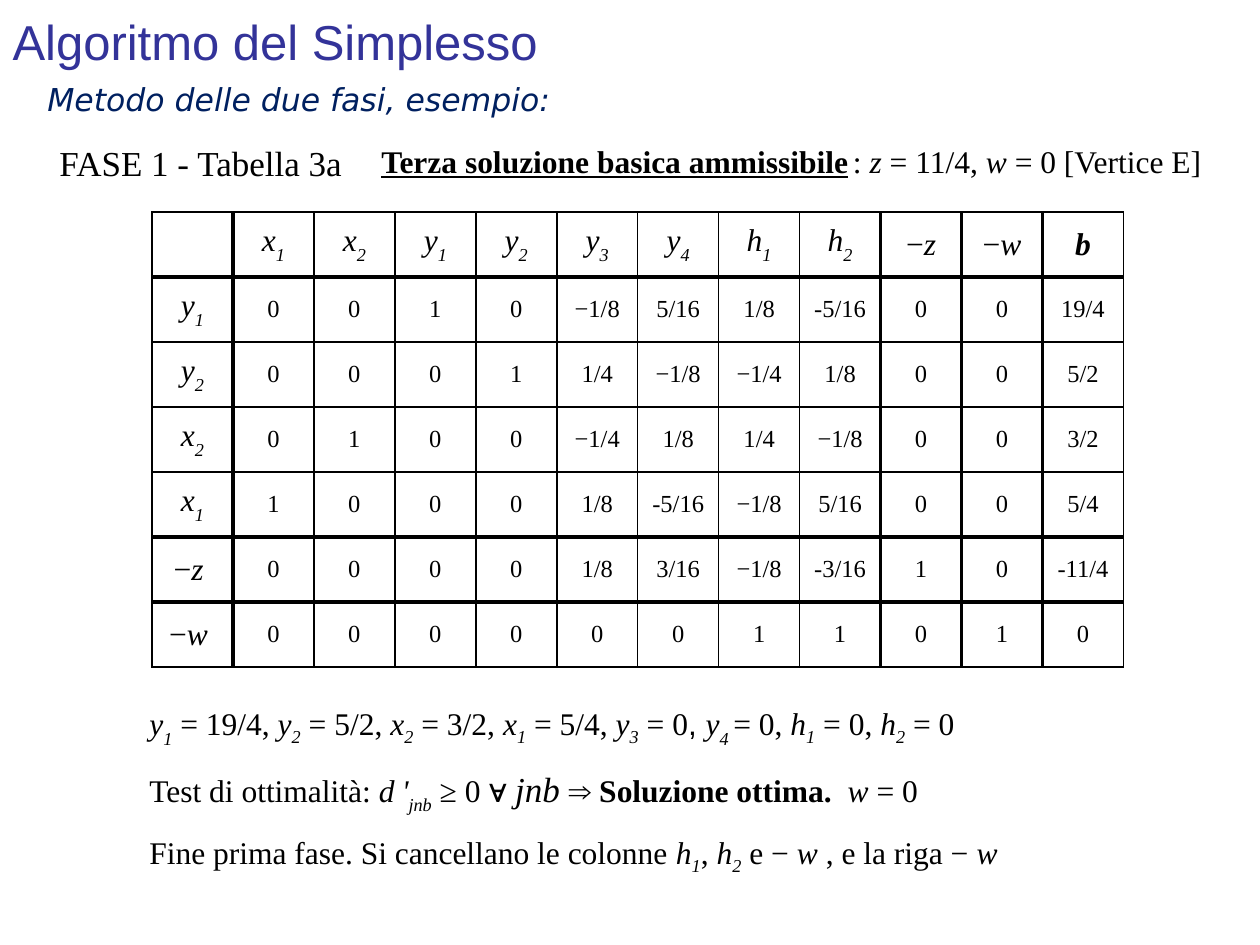
from dataclasses import dataclass

from lxml import etree
from pptx import Presentation
from pptx import util as u
from pptx.dml.color import RGBColor
from pptx.enum import text
from pptx.oxml import ns


@dataclass(frozen=True)
class Theme:
    title_color: str = "333399"
    subtitle_color: str = "002060"
    ink: str = "000000"
    title_font: str = "Arial"
    subtitle_font: str = "DejaVu Sans"
    body_font: str = "Times New Roman"
    title_size: int = 28
    large_size: int = 20
    body_size: int = 18
    small_size: int = 16
    number_size: int = 14
    thin: float = 1
    thick: float = 2.25


@dataclass(frozen=True)
class Run:
    text: str
    italic: bool = False
    bold: bool = False
    underline: bool = False
    baseline: int = 0
    size: int = 0
    font: str = ""


def italic(words, **style):
    return Run(words, italic=True, **style)


def variable(name, index, drop=-25):
    """An italic letter with its subscript."""
    return [italic(name), italic(index, baseline=drop)]


def px(length):
    return u.Emu(round(length * 914400 / 126))


class SlideBuilder:
    def __init__(self, presentation, theme):
        self.theme = theme
        self.slide = presentation.slides.add_slide(presentation.slide_layouts[5])

    def add_runs(self, paragraph, runs, size, font=None, color=None):
        for item in runs:
            run = paragraph.add_run()
            run.text = item.text
            run.font.name = item.font or font or self.theme.body_font
            run.font.size = u.Pt(item.size or size)
            run.font.color.rgb = RGBColor.from_string(color or self.theme.ink)
            run.font.bold = item.bold
            run.font.italic = item.italic
            run.font.underline = item.underline
            if item.baseline:
                run._r.get_or_add_rPr().set("baseline", str(item.baseline * 1000))

    def title(self, words, left, top, width, height):
        shape = self.slide.shapes.title
        shape.left, shape.top, shape.width, shape.height = map(px, (left, top, width, height))
        frame = shape.text_frame
        frame.auto_size = text.MSO_AUTO_SIZE.NONE
        frame.vertical_anchor = text.MSO_ANCHOR.MIDDLE
        paragraph = frame.paragraphs[0]
        paragraph.alignment = text.PP_ALIGN.LEFT
        self.add_runs(paragraph, [Run(words)], self.theme.title_size,
                      self.theme.title_font, self.theme.title_color)

    def text_box(self, runs, left, top, width, height, size=None, font=None,
                 color=None, align=text.PP_ALIGN.JUSTIFY):
        shape = self.slide.shapes.add_textbox(*map(px, (left, top, width, height)))
        frame = shape.text_frame
        frame.word_wrap = True
        frame.auto_size = text.MSO_AUTO_SIZE.SHAPE_TO_FIT_TEXT
        paragraph = frame.paragraphs[0]
        paragraph.alignment = align
        self.add_runs(paragraph, runs, size or self.theme.body_size, font, color)

    def border(self, cell, side, weight):
        line = etree.SubElement(cell._tc.get_or_add_tcPr(), ns.qn(f"a:ln{side}"),
                                w=str(u.Pt(weight)))
        fill = etree.SubElement(line, ns.qn("a:solidFill"))
        etree.SubElement(fill, ns.qn("a:srgbClr"), val=self.theme.ink)

    def table(self, rows, left, top, column_width, row_height, thick_columns, thick_rows):
        """Grid of runs; the thick sets number the grid lines from the left and top."""
        row_count, column_count = len(rows), len(rows[0])
        table = self.slide.shapes.add_table(
            row_count, column_count, px(left), px(top),
            px(column_width * column_count), px(row_height * row_count)).table
        table.first_row = table.horz_banding = False
        for column in table.columns:
            column.width = px(column_width)
        for row in table.rows:
            row.height = px(row_height)
        for r, row in enumerate(rows):
            for c, runs in enumerate(row):
                cell = table.cell(r, c)
                sides = (("L", c, thick_columns), ("R", c + 1, thick_columns),
                         ("T", r, thick_rows), ("B", r + 1, thick_rows))
                for side, index, thick in sides:
                    self.border(cell, side,
                                self.theme.thick if index in thick else self.theme.thin)
                cell.fill.background()
                cell.vertical_anchor = text.MSO_ANCHOR.MIDDLE
                paragraph = cell.text_frame.paragraphs[0]
                paragraph.alignment = text.PP_ALIGN.CENTER
                is_label = r == 0 or c == 0
                self.add_runs(paragraph, runs,
                              self.theme.body_size if is_label else self.theme.number_size)


def label(name, tail=""):
    if name.startswith("−"):
        return [Run("−"), italic(name[1:] + tail)]
    return variable(name[0], name[1:], -30)


def main():
    theme = Theme()
    presentation = Presentation()
    presentation.slide_width, presentation.slide_height = px(1260), px(945)
    builder = SlideBuilder(presentation, theme)

    # Headings
    builder.title("Algoritmo del Simplesso", 0, -4, 1134, 89)
    builder.text_box([italic("Metodo delle due fasi, esempio:")], 35, 74, 1074, 50,
                     font=theme.subtitle_font, color=theme.subtitle_color,
                     align=text.PP_ALIGN.LEFT)
    builder.text_box([Run("FASE 1 - Tabella 3a")], 47, 135, 500, 54,
                     size=theme.large_size, align=text.PP_ALIGN.LEFT)
    builder.text_box([
        Run("Terza soluzione basica ammissibile", bold=True, underline=True),
        italic(" ", baseline=-30), Run(": "), italic("z"), Run(" = 11/4, "),
        italic("w"), Run(" = 0 [Vertice E]")], 369, 136, 891, 50)

    # Simplex tableau
    columns = "x1 x2 y1 y2 y3 y4 h1 h2 −z −w".split()
    body = {
        "y1": "0 0 1 0 −1/8 5/16 1/8 -5/16 0 0 19/4",
        "y2": "0 0 0 1 1/4 −1/8 −1/4 1/8 0 0 5/2",
        "x2": "0 1 0 0 −1/4 1/8 1/4 −1/8 0 0 3/2",
        "x1": "1 0 0 0 1/8 -5/16 −1/8 5/16 0 0 5/4",
        "−z": "0 0 0 0 1/8 3/16 −1/8 -3/16 1 0 -11/4",
        "−w": "0 0 0 0 0 0 1 1 0 1 0",
    }
    rows = [[[], *map(label, columns), [italic("b", bold=True)]]]
    for name, values in body.items():
        rows.append([label(name, " "), *([Run(value)] for value in values.split())])
    builder.table(rows, 152, 212, 81, 65, thick_columns={1, 9, 10, 11}, thick_rows={1, 5, 6})

    # Basic solution
    builder.text_box([
        *variable("y", "1", -30), Run(" = 19/4, "), *variable("y", "2"), Run(" = 5/2, "),
        *variable("x", "2"), Run(" = 3/2, "), *variable("x", "1"), Run(" = 5/4, "),
        *variable("y", "3"), Run(" = 0"), Run(", ", font=theme.title_font),
        *variable("y", "4 ", -30), Run("= 0, "), *variable("h", "1"), Run(" = 0, "),
        *variable("h", "2"), Run(" = 0 ")], 137, 698, 995, 63)

    # Optimality test
    builder.text_box([
        Run("Test di ottimalità: "), italic("d"), italic(" ", size=theme.small_size),
        italic("'"), italic("jnb", baseline=-30), Run(" ≥ 0 ∀ "),
        italic("jnb ", size=theme.large_size), Run("⇒ "),
        Run("Soluzione ottima.  ", bold=True), italic("w "), Run("= 0 ")],
        137, 761, 1070, 54)

    # End of the first phase
    builder.text_box([
        Run("Fine prima fase. Si cancellano le colonne "), *variable("h", "1"), Run(", "),
        *variable("h", "2"), Run(" e − "), italic("w"), Run(" , e la riga − "),
        italic("w ")], 137, 827, 995, 50)

    presentation.save("out.pptx")


if __name__ == "__main__":
    main()
